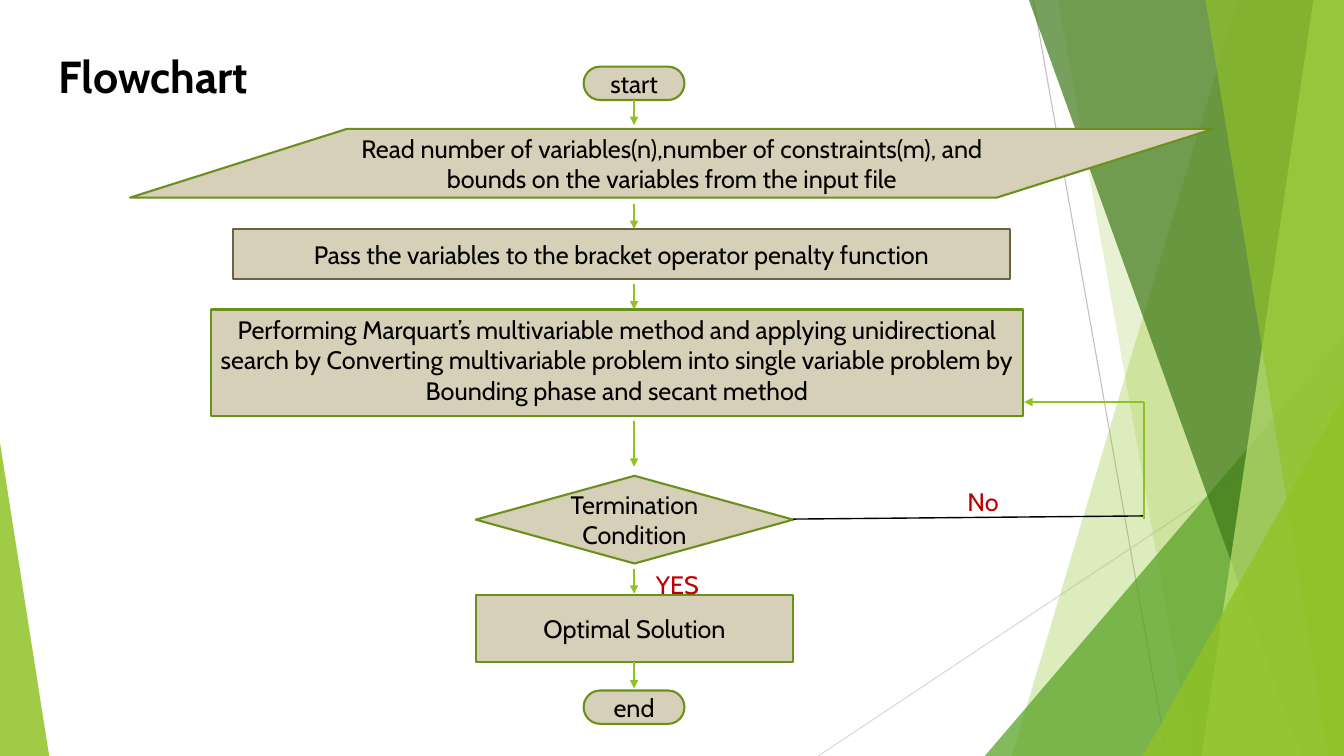
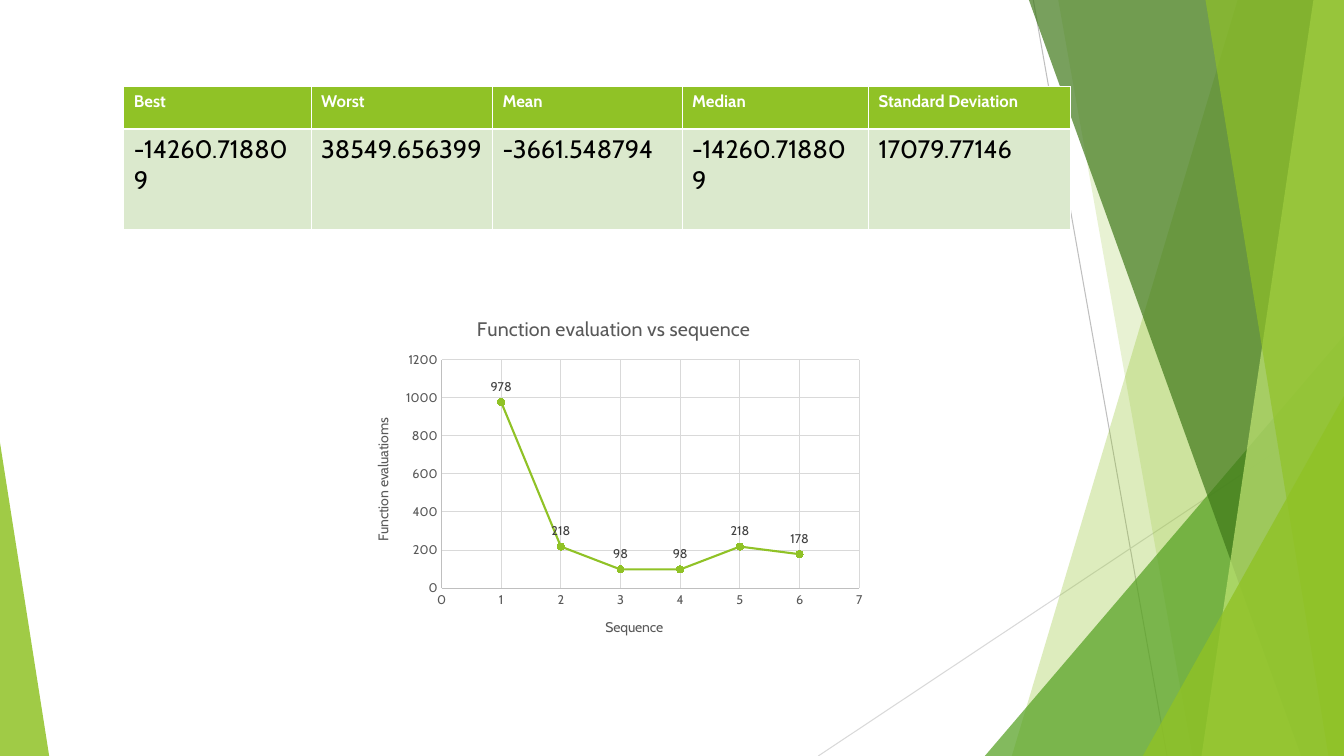
from pptx import Presentation
from pptx.chart.data import XyChartData
from pptx.chart.datalabel import DataLabels
from pptx.dml.color import RGBColor
from pptx.enum.chart import XL_CHART_TYPE as Chart, XL_LABEL_POSITION as Label
from pptx.enum.chart import XL_MARKER_STYLE as Marker, XL_TICK_MARK as Tick
from pptx.enum.shapes import MSO_CONNECTOR as Link, MSO_SHAPE as Shape
from pptx.enum.text import MSO_ANCHOR as Anchor, MSO_AUTO_SIZE as Fit, PP_ALIGN as Align
from pptx.oxml import parse_xml
from pptx.oxml.ns import nsdecls, qn
from pptx.util import Cm, Pt

FONT = "Cabin"
WIDTH, HEIGHT = 33.87, 19.05

BLACK = RGBColor(0x00, 0x00, 0x00)
WHITE = RGBColor(0xFF, 0xFF, 0xFF)
GREEN = RGBColor(0x90, 0xC2, 0x26)
LEAF = RGBColor(0x54, 0xA0, 0x21)
FOREST = RGBColor(0x3F, 0x78, 0x19)
LIME = RGBColor(0xC0, 0xE4, 0x74)
MOSS = RGBColor(0x6B, 0x90, 0x1C)
OLIVE = RGBColor(0x6B, 0x63, 0x3F)
SAND = RGBColor(0xD6, 0xD0, 0xB8)
MINT = RGBColor(0xDB, 0xE9, 0xCD)
RED = RGBColor(0xC0, 0x00, 0x00)
INK = RGBColor(0x40, 0x40, 0x40)
GREY = RGBColor(0x59, 0x59, 0x59)
SILVER = RGBColor(0xBF, 0xBF, 0xBF)
PALE = RGBColor(0xD9, 0xD9, 0xD9)


def style(font, size, color, bold=False):
    font.name, font.size, font.bold = FONT, Pt(size), bold
    font.color.rgb = color


def write(frame, text, size=18, color=BLACK, bold=False, align=Align.LEFT,
          anchor=Anchor.TOP):
    frame.word_wrap = True
    frame.vertical_anchor = anchor
    line = frame.paragraphs[0]
    line.alignment = align
    run = line.add_run()
    run.text = text
    style(run.font, size, color, bold)


def stroke(line, color, width):
    line.color.rgb = color
    line.width = Pt(width)


def add_line(slide, start, end, color=GREEN, width=1, arrow=False):
    line = slide.shapes.add_connector(Link.STRAIGHT, *map(Cm, start + end))
    stroke(line.line, color, width)
    props = line.element.spPr
    if arrow:
        props.find(qn("a:ln")).append(
            parse_xml(f'<a:tailEnd {nsdecls("a")} type="triangle"/>'))
    props.append(parse_xml(f'<a:effectLst {nsdecls("a")}/>'))
    return line


def tint(shape, color, alpha):
    """Fill a borderless shape with a colour of the given opacity in percent."""
    shape.shadow.inherit = False
    shape.line.fill.background()
    shape.fill.solid()
    shape.fill.fore_color.rgb = color
    tone = shape.element.spPr.find(qn("a:solidFill"))[0]
    tone.append(parse_xml(f'<a:alpha {nsdecls("a")} val="{alpha * 1000}"/>'))
    return shape


def add_band(slide, top, foot, color, alpha):
    """Draw a band from a slanted left edge to the right side of the slide."""
    pen = slide.shapes.build_freeform(Cm(top), 0)
    pen.add_line_segments([(Cm(WIDTH), 0), (Cm(WIDTH), Cm(HEIGHT)), (Cm(foot), Cm(HEIGHT))])
    return tint(pen.convert_to_shape(), color, alpha)


def add_wedge(slide, left, top, width, peak, color, alpha):
    """Draw a triangle that stands on the bottom edge of the slide."""
    box = (left, top, width, HEIGHT - top)
    wedge = slide.shapes.add_shape(Shape.ISOSCELES_TRIANGLE, *map(Cm, box))
    wedge.adjustments[0] = peak
    return tint(wedge, color, alpha)


def dress(master, slide):
    """Draw the shared backdrop and move it to the master."""
    parts = [
        add_line(slide, (26.04, 0), (29.41, HEIGHT), SILVER, 0.75),
        add_line(slide, (WIDTH, 10.24), (20.62, HEIGHT), PALE, 0.75),
        add_band(slide, 31.19, 25.5, GREEN, 30),
        add_band(slide, 26.67, 30.05, GREEN, 20),
        add_wedge(slide, 24.82, 8.46, 9.05, 1, LEAF, 72),
        add_band(slide, 25.93, 32.79, FOREST, 70),
        add_band(slide, 33.1, 30.28, LIME, 70),
        add_band(slide, 30.38, 33.48, GREEN, 65),
        add_wedge(slide, 28.8, 9.98, 5.07, 1, GREEN, 80),
        add_wedge(slide, 0, 11.15, 1.24, 0, GREEN, 85),
    ]
    tree = master.shapes.element
    for num, part in enumerate(parts):
        part.element.xpath(".//p:cNvPr")[0].set("id", str(100 + num))
        tree.insert(2 + num, part.element)


def add_title(slide, text, box):
    title = slide.shapes.title
    title.left, title.top, title.width, title.height = map(Cm, box)
    title.text_frame.auto_size = Fit.NONE
    write(title.text_frame, text, size=32, bold=True, anchor=Anchor.MIDDLE)


def add_flow(slide, left, top):
    def shift(x, y):
        return left + x, top + y

    steps = [
        (Shape.FLOWCHART_TERMINATOR, 11.43, 0, 2.54, 0.84, MOSS, "start"),
        (Shape.FLOWCHART_DATA, 0, 1.57, 27.3, 1.73, MOSS,
         "Read number of variables(n),number of constraints(m), and "
         "bounds on the variables from the input file"),
        (Shape.RECTANGLE, 2.59, 4.09, 19.58, 1.27, OLIVE,
         "Pass the variables to the bracket operator penalty function"),
        (Shape.FLOWCHART_PROCESS, 2.03, 6.12, 20.47, 2.69, MOSS,
         "Performing Marquart’s multivariable method and applying unidirectional "
         "search by Converting multivariable problem into single variable problem by "
         "Bounding phase and secant method"),
        (Shape.FLOWCHART_DECISION, 8.71, 10.31, 8, 2.21, MOSS, "Termination Condition"),
        (Shape.FLOWCHART_PROCESS, 8.71, 13.31, 8, 1.7, MOSS, "Optimal Solution"),
        (Shape.FLOWCHART_TERMINATOR, 11.43, 15.72, 2.54, 0.84, MOSS, "end"),
    ]
    for kind, x, y, width, height, edge, text in steps:
        step = slide.shapes.add_shape(kind, *map(Cm, shift(x, y) + (width, height)))
        step.shadow.inherit = False
        step.fill.solid()
        step.fill.fore_color.rgb = SAND
        stroke(step.line, edge, 1.5)
        anchor = Anchor.TOP if height == 2.69 else Anchor.MIDDLE
        write(step.text_frame, text, align=Align.CENTER, anchor=anchor)

    axis = 12.7
    for start, end in [(0.84, 1.47), (3.45, 4.09), (5.48, 6.12),
                       (8.94, 10.08), (12.65, 13.28), (15.01, 15.67)]:
        add_line(slide, shift(axis, start), shift(axis, end), arrow=True)

    turn = shift(25.55, 8.45)
    add_line(slide, shift(16.71, 11.4), shift(25.57, 11.32), BLACK)
    add_line(slide, shift(25.55, 11.4), turn)
    add_line(slide, turn, shift(22.53, 8.45), arrow=True)

    for text, x, y, width in [("No", 20.85, 10.46, 1.98), ("YES", 13, 12.54, 1.7)]:
        note = slide.shapes.add_textbox(*map(Cm, shift(x, y) + (width, 1.02)))
        write(note.text_frame, text, color=RED)


def add_stats(slide, left, top):
    stats = [
        ("Best", "-14260.718809", 4.72),
        ("Worst", "38549.656399", 4.57),
        ("Mean", "-3661.548794", 4.78),
        ("Median", "-14260.718809", 4.7),
        ("Standard Deviation", "17079.77146", 5.08),
    ]
    width = sum(stat[2] for stat in stats)
    box = (left, top, width, 3.61)
    table = slide.shapes.add_table(2, len(stats), *map(Cm, box)).table
    table.rows[0].height, table.rows[1].height = Cm(1.07), Cm(2.54)
    looks = [(GREEN, dict(size=12, color=WHITE, bold=True)), (MINT, dict(size=18))]
    for col, (*texts, width) in enumerate(stats):
        table.columns[col].width = Cm(width)
        for row, (text, (fill, look)) in enumerate(zip(texts, looks)):
            cell = table.cell(row, col)
            cell.fill.solid()
            cell.fill.fore_color.rgb = fill
            write(cell.text_frame, text, **look)


def set_axis(axis, title, top, step):
    axis.minimum_scale, axis.maximum_scale, axis.major_unit = 0, top, step
    axis.major_tick_mark = axis.minor_tick_mark = Tick.NONE
    axis.has_major_gridlines = True
    stroke(axis.major_gridlines.format.line, PALE, 0.75)
    stroke(axis.format.line, SILVER, 0.75)
    style(axis.tick_labels.font, 9, GREY)
    write(axis.axis_title.text_frame, title, size=10, color=GREY, align=Align.CENTER)


def add_plot(slide, box):
    data = XyChartData()
    points = data.add_series("Series 1")
    for x, y in enumerate([978, 218, 98, 98, 218, 178], start=1):
        points.add_data_point(x, y)
    chart = slide.shapes.add_chart(Chart.XY_SCATTER_LINES, *map(Cm, box), data).chart
    style(chart.font, 10, BLACK)
    chart.has_legend = False
    write(chart.chart_title.text_frame, "Function evaluation vs sequence",
          size=14, color=GREY, align=Align.CENTER)
    set_axis(chart.category_axis, "Sequence", 7, 1)
    set_axis(chart.value_axis, "Function evaluatioms", 1200, 200)

    plot = chart.plots[0]
    plot.vary_by_categories = False
    series = plot.series[0]
    stroke(series.format.line, GREEN, 1.5)
    series.marker.style, series.marker.size = Marker.CIRCLE, 5
    series.marker.format.fill.solid()
    series.marker.format.fill.fore_color.rgb = GREEN
    stroke(series.marker.format.line, GREEN, 0.75)
    labels = DataLabels(series._element.get_or_add_dLbls())
    labels.show_value = True
    labels.position = Label.ABOVE
    style(labels.font, 9, INK)

    area = chart.element.find(".//" + qn("c:plotArea"))
    for old in area.findall(qn("c:layout")):
        area.remove(old)
    sizes = "".join(f'<c:{key} val="{val}"/>' for key, val in
                    [("x", 0.17), ("y", 0.17), ("w", 0.8), ("h", 0.64)])
    area.insert(0, parse_xml(
        f'<c:layout {nsdecls("c")}><c:manualLayout><c:layoutTarget val="inner"/>'
        '<c:xMode val="edge"/><c:yMode val="edge"/>'
        f'{sizes}</c:manualLayout></c:layout>'))


def main():
    prs = Presentation()
    prs.slide_width, prs.slide_height = Cm(WIDTH), Cm(HEIGHT)
    flow = prs.slides.add_slide(prs.slide_layouts.get_by_name("Title Only"))
    dress(prs.slide_master, flow)
    add_title(flow, "Flowchart", (1.22, 1.09, 6.65, 1.63))
    add_flow(flow, 3.28, 1.68)

    results = prs.slides.add_slide(prs.slide_layouts.get_by_name("Blank"))
    add_plot(results, (8.89, 7.54, 13.16, 8.99))
    add_stats(results, 3.12, 2.18)
    prs.save("out.pptx")


if __name__ == "__main__":
    main()
